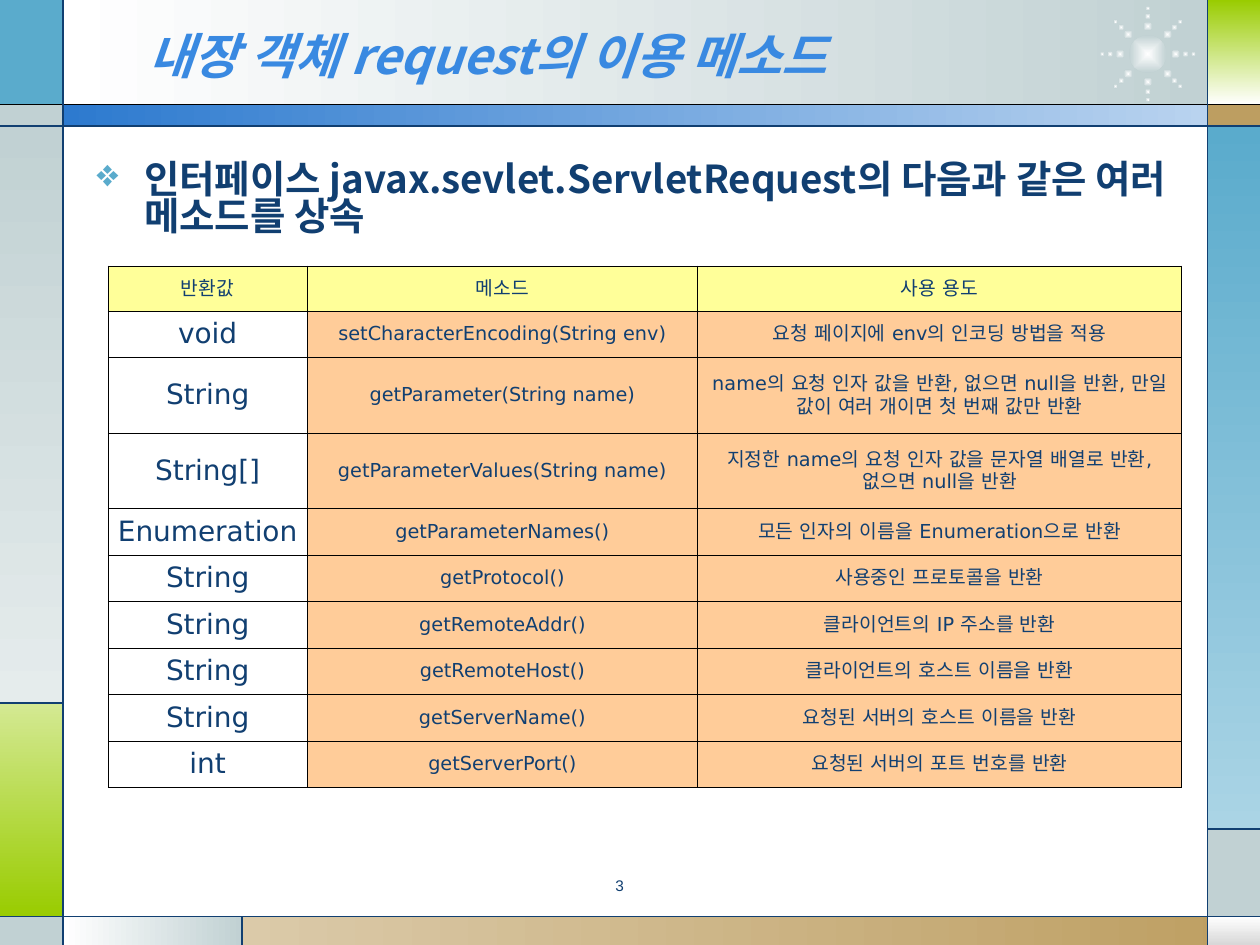
from collections import namedtuple
from dataclasses import dataclass
from math import cos, radians, sin

from lxml import etree
from pptx import Presentation
from pptx.dml.color import RGBColor
from pptx.enum.shapes import MSO_CONNECTOR, MSO_SHAPE
from pptx.enum.text import MSO_ANCHOR, PP_ALIGN
from pptx.oxml.ns import qn
from pptx.util import Cm, Pt

RECT, OVAL, STRAIGHT = MSO_SHAPE.RECTANGLE, MSO_SHAPE.OVAL, MSO_CONNECTOR.STRAIGHT
CENTER, LEFT, MIDDLE = PP_ALIGN.CENTER, PP_ALIGN.LEFT, MSO_ANCHOR.MIDDLE
RIGHTWARD, DOWNWARD = 0, 270  # gradient angles, counter-clockwise

Box = namedtuple("Box", "left top width height")  # centimetres


@dataclass(frozen=True)
class Theme:
    ink: str = "113F71"
    title: str = "3989E1"
    black: str = "000000"
    white: str = "FFFFFF"
    silver: str = "D8D8D8"
    mist: str = "C1D1D3"
    pale_mist: str = "E5ECEC"
    sky: str = "5AABCC"
    pale_sky: str = "AAD4E5"
    lime: str = "99CC00"
    pale_lime: str = "D4E993"
    sand: str = "BD9E61"
    pale_sand: str = "DBCAA9"
    blue: str = "2D7ACF"
    pale_blue: str = "B9D3EF"
    header_cell: str = "FFFF99"
    body_cell: str = "FFCC99"
    heading_font: str = "Noto Sans CJK KR"
    table_font: str = "DejaVu Sans"
    number_font: str = "Arial"
    title_size: float = 28
    lead_size: float = 22
    type_size: float = 16
    cell_size: float = 11
    number_size: float = 8.8
    rule: float = 0.75
    border: float = 0.45


T = Theme()

METHODS = [
    ("반환값", "메소드", "사용 용도"),
    ("void", "setCharacterEncoding(String env)", "요청 페이지에 env의 인코딩 방법을 적용"),
    ("String", "getParameter(String name)",
     "name의 요청 인자 값을 반환, 없으면 null을 반환, 만일 값이 여러 개이면 첫 번째 값만 반환"),
    ("String[]", "getParameterValues(String name)",
     "지정한 name의 요청 인자 값을 문자열 배열로 반환, 없으면 null을 반환"),
    ("Enumeration", "getParameterNames()", "모든 인자의 이름을 Enumeration으로 반환"),
    ("String", "getProtocol()", "사용중인 프로토콜을 반환"),
    ("String", "getRemoteAddr()", "클라이언트의 IP 주소를 반환"),
    ("String", "getRemoteHost()", "클라이언트의 호스트 이름을 반환"),
    ("String", "getServerName()", "요청된 서버의 호스트 이름을 반환"),
    ("int", "getServerPort()", "요청된 서버의 포트 번호를 반환"),
]
TWO_LINE_ROWS = (2, 3)


def add_filled(shapes, kind, box, colors, angle=RIGHTWARD):
    """Add a borderless shape with one colour or a two-colour gradient."""
    shape = shapes.add_shape(kind, *map(Cm, box))
    shape.shadow.inherit = False
    shape.line.fill.background()
    if len(colors) == 1:
        shape.fill.solid()
        shape.fill.fore_color.rgb = RGBColor.from_string(colors[0])
    else:
        shape.fill.gradient()
        shape.fill.gradient_angle = angle
        for stop, color, position in zip(shape.fill.gradient_stops, colors, (0, 1)):
            stop.color.rgb = RGBColor.from_string(color)
            stop.position = position
    return shape


def style_run(run, font, size, color, bold=False, italic=False):
    run.font.name, run.font.size = font, Pt(size)
    run.font.bold, run.font.italic = bold, italic
    run.font.color.rgb = RGBColor.from_string(color)
    etree.SubElement(run.font._element, qn("a:ea"), typeface=font)


def add_text(slide, box, text, align, *style):
    frame = slide.shapes.add_textbox(*map(Cm, box)).text_frame
    frame.word_wrap = True
    frame.text = text
    paragraph = frame.paragraphs[0]
    paragraph.alignment = align
    style_run(paragraph.runs[0], *style)
    return frame


def add_frame(slide, box):
    """Coloured tiles around the page, with the rules between them."""
    x0, y0 = box.left, box.top
    x3, y5 = x0 + box.width, y0 + box.height
    rail, right = x0 + 1.27, x3 - 1.06
    head, band, foot = y0 + 2.11, y0 + 2.54, y5 - 0.58
    lime_top, sky_end, sand_left = y0 + 14.17, y0 + 16.71, x0 + 4.88
    tiles = [
        (rail, y0, right, head, (T.white, T.mist), RIGHTWARD),
        (x0, y0, rail, head, (T.sky,), None),
        (x0, head, rail, band, (T.mist,), None),
        (x0, band, rail, lime_top, (T.mist, T.pale_mist), DOWNWARD),
        (x0, lime_top, rail, foot, (T.pale_lime, T.lime), DOWNWARD),
        (x0, foot, rail, y5, (T.mist,), None),
        (rail, foot, sand_left, y5, (T.white, T.mist), RIGHTWARD),
        (sand_left, foot, x3, y5, (T.pale_sand, T.sand), RIGHTWARD),
        (right, foot, x3, y5, (T.white, T.silver), DOWNWARD),
        (right, sky_end, x3, foot, (T.mist,), None),
        (right, band, x3, sky_end, (T.sky, T.pale_sky), DOWNWARD),
        (right, head, x3, band, (T.sand,), None),
        (right, y0, x3, head, (T.lime, T.white), DOWNWARD),
        (rail, head, right, band, (T.blue, T.pale_blue), RIGHTWARD),
    ]
    for left, top, end, bottom, colors, angle in tiles:
        add_filled(slide.shapes, RECT, Box(left, top, end - left, bottom - top), colors, angle)

    rules = [
        (x0, head, x3, head, T.black),
        (x0, band, x3, band, T.ink),
        (x0, foot, x3, foot, T.ink),
        (rail, y0, rail, y5, T.ink),
        (right, y0, right, y5, T.ink),
        (x0, lime_top, rail, lime_top, T.ink),
        (sand_left, foot, sand_left, y5, T.ink),
        (right, sky_end, x3, sky_end, T.ink),
    ]
    for *ends, color in rules:
        rule = slide.shapes.add_connector(STRAIGHT, *map(Cm, ends))
        rule.line.color.rgb = RGBColor.from_string(color)
        rule.line.width = Pt(T.rule)
        etree.SubElement(rule._element.spPr, qn("a:effectLst"))


def add_starburst(slide, box):
    """A glowing centre with eight rays of three shrinking dots."""
    shapes = slide.shapes.add_group_shape().shapes
    center_x, center_y = box.left + box.width / 2, box.top + box.height / 2
    dots = [(0, 0, 0.76)]
    dots += [(radius, angle, size) for angle in range(0, 360, 45)
             for radius, size in ((0.56, 0.18), (0.76, 0.12), (0.92, 0.09))]
    for radius, angle, size in dots:
        x = center_x + radius * cos(radians(angle)) - size / 2
        y = center_y + radius * sin(radians(angle)) - size / 2
        dot = add_filled(shapes, OVAL, Box(x, y, size, size), (T.white, T.mist))
        gradient = dot._element.spPr.find(qn("a:gradFill"))
        gradient.remove(gradient.find(qn("a:lin")))
        glow = etree.SubElement(gradient, qn("a:path"), {"path": "rect"})
        etree.SubElement(glow, qn("a:fillToRect"), dict.fromkeys("ltrb", "50000"))


def add_title(slide, box):
    frame = add_text(slide, box, "내장 객체 request의 이용 메소드", LEFT,
                     T.heading_font, T.title_size, T.title, True, True)
    frame.vertical_anchor = MIDDLE


def add_lead(slide, box):
    frame = add_text(slide, box,
                     "인터페이스 javax.sevlet.ServletRequest의 다음과 같은 여러 메소드를 상속",
                     LEFT, T.heading_font, T.lead_size, T.ink, True)
    paragraph = frame.paragraphs[0]
    paragraph.line_spacing, paragraph.space_before = 0.8, Pt(5.5)
    props = paragraph._p.get_or_add_pPr()
    props.set("marL", str(Cm(0.96)))
    props.set("indent", str(-Cm(0.96)))
    bullet_color = etree.SubElement(props, qn("a:buClr"))
    etree.SubElement(bullet_color, qn("a:srgbClr"), val=T.sky)
    etree.SubElement(props, qn("a:buChar"), char="❖")


def add_page_number(slide, box):
    frame = add_text(slide, box, "3", CENTER, T.number_font, T.number_size, T.ink)
    frame.paragraphs[0].line_spacing = 0.8


def style_cell(cell, text, size, fill):
    cell.text = text
    cell.vertical_anchor = MIDDLE
    cell.margin_left = cell.margin_right = Cm(0.16)
    cell.margin_top = cell.margin_bottom = Cm(0.13)
    paragraph = cell.text_frame.paragraphs[0]
    paragraph.alignment = CENTER
    style_run(paragraph.runs[0], T.table_font, size, T.ink)
    props = cell._tc.get_or_add_tcPr()
    for side in ("a:lnL", "a:lnR", "a:lnT", "a:lnB"):
        border = etree.SubElement(props, qn(side), w=str(Pt(T.border)))
        solid = etree.SubElement(border, qn("a:solidFill"))
        etree.SubElement(solid, qn("a:srgbClr"), val=T.black)
    if fill:
        cell.fill.solid()
        cell.fill.fore_color.rgb = RGBColor.from_string(fill)
    else:
        cell.fill.background()


def add_method_table(slide, box):
    table = slide.shapes.add_table(len(METHODS), 3, *map(Cm, box)).table
    table.first_row = table.horz_banding = False
    for column, share in zip(table.columns, (1.58, 3.1, 3.84)):
        column.width = Cm(box.width * share / 8.52)
    for r, texts in enumerate(METHODS):
        table.rows[r].height = Cm(1.52 if r in TWO_LINE_ROWS else 0.91)
        for c, text in enumerate(texts):
            is_type = r > 0 and c == 0
            fill = T.header_cell if r == 0 else None if is_type else T.body_cell
            style_cell(table.cell(r, c), text, T.type_size if is_type else T.cell_size, fill)


def main():
    page = Box(0, 0, 25.4, 19.05)
    prs = Presentation()
    prs.slide_width, prs.slide_height = Cm(page.width), Cm(page.height)
    slide = prs.slides.add_slide(prs.slide_layouts[6])
    add_frame(slide, page)
    add_starburst(slide, Box(22.2, 0.15, 1.88, 1.88))
    add_title(slide, Box(2.74, 0.33, 18.62, 1.57))
    add_lead(slide, Box(1.7, 3.18, 22.28, 1.78))
    add_page_number(slide, Box(9.53, 17.6, 5.92, 0.69))
    add_method_table(slide, Box(2.18, 5.36, 21.64, 10.32))
    prs.save("out.pptx")


if __name__ == "__main__":
    main()
